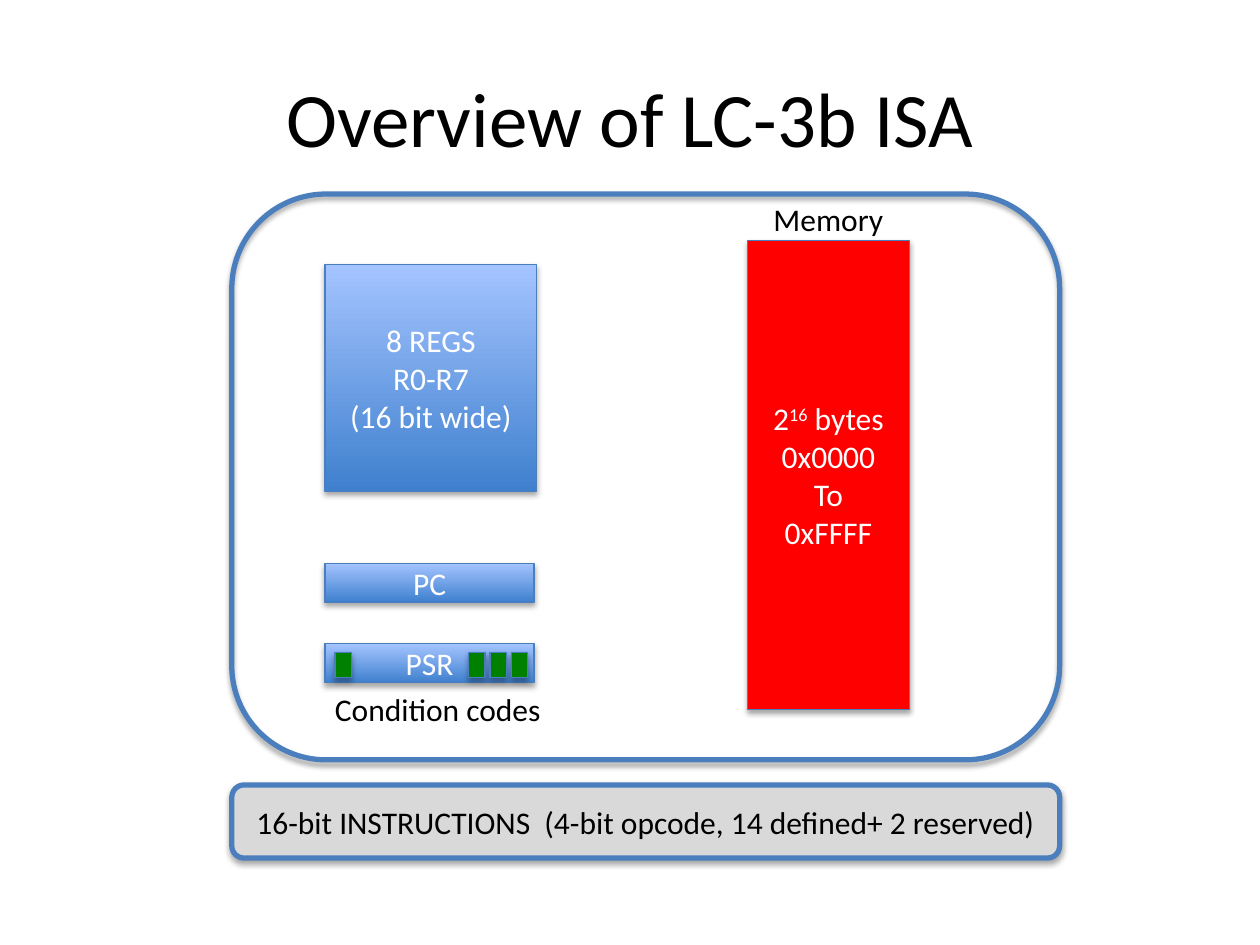
"""Build the LC-3b instruction set overview slide."""
import dataclasses
import typing

import lxml.etree
import pptx
import pptx.dml.color
import pptx.enum.shapes
import pptx.enum.text
import pptx.oxml.ns
import pptx.shapes.autoshape
import pptx.util

Inches = pptx.util.Inches
Shape = pptx.shapes.autoshape.Shape
Kind = pptx.enum.shapes.MSO_SHAPE
Align = pptx.enum.text.PP_ALIGN
Fit = pptx.enum.text.MSO_AUTO_SIZE

COLORS = {
    "deep": "3F80CE", "light": "A4C4FF", "edge": "4B7EBC", "red": "FF0000",
    "gray": "D9D9D9", "green": "008000", "white": "FFFFFF", "black": "000000",
}


@dataclasses.dataclass
class Box:
    left: float
    top: float
    width: float
    height: float
    fill: typing.Optional[str] = None
    text: str = ""
    ink: str = "white"
    kind: Kind = Kind.RECTANGLE
    weight: float = 0.75


@dataclasses.dataclass
class Label:
    left: float
    top: float
    width: float
    text: str


def color(name: str) -> pptx.dml.color.RGBColor:
    return pptx.dml.color.RGBColor.from_string(COLORS[name])


def write(frame, text: str, *, size: float = 18, ink: str = "black",
          align: Align = Align.CENTER, wrap: bool = True) -> None:
    """Write one paragraph per line, raising the parts between carets."""
    frame.word_wrap = wrap
    frame.vertical_anchor = pptx.enum.text.MSO_ANCHOR.MIDDLE
    for row, line in enumerate(text.split("\n")):
        para = frame.add_paragraph() if row else frame.paragraphs[0]
        para.alignment = align
        for part, words in enumerate(line.split("^")):
            run = para.add_run()
            run.text = words
            run.font.name = "Calibri"
            run.font.size = pptx.util.Pt(size)
            run.font.color.rgb = color(ink)
            if part % 2:
                run.font._element.set("baseline", "30000")


def shade(shape: Shape) -> None:
    """Give the shape a soft shadow below it."""
    shape.shadow.inherit = False
    tag = pptx.oxml.ns.qn
    effects = shape._element.spPr.find(tag("a:effectLst"))
    outer = lxml.etree.SubElement(
        effects, tag("a:outerShdw"), blurRad="40000", dist="23000",
        dir="5400000", rotWithShape="0")
    tint = lxml.etree.SubElement(outer, tag("a:srgbClr"), val=COLORS["black"])
    lxml.etree.SubElement(tint, tag("a:alpha"), val="35000")


def paint(shape: Shape, fill: typing.Optional[str]) -> None:
    """Fill with a plain color, the blue gradient, or nothing."""
    if fill is None:
        shape.fill.background()
    elif fill == "blend":
        shape.fill.gradient()
        shape.fill.gradient_angle = 90
        for stop, name in zip(shape.fill.gradient_stops, ("deep", "light")):
            stop.color.rgb = color(name)
    else:
        shape.fill.solid()
        shape.fill.fore_color.rgb = color(fill)


def draw(slide, box: Box) -> None:
    """Draw one box with its text."""
    shape = slide.shapes.add_shape(
        box.kind, Inches(box.left), Inches(box.top),
        Inches(box.width), Inches(box.height))
    paint(shape, box.fill)
    shape.line.color.rgb = color(box.edge if hasattr(box, "edge") else "edge")
    shape.line.width = pptx.util.Pt(box.weight)
    shade(shape)
    if box.text:
        write(shape.text_frame, box.text, ink=box.ink)


def tag_box(slide, label: Label) -> None:
    """Place one caption on a single line."""
    shape = slide.shapes.add_textbox(
        Inches(label.left), Inches(label.top), Inches(label.width), Inches(0.4))
    write(shape.text_frame, label.text, align=Align.LEFT, wrap=False)
    shape.text_frame.auto_size = Fit.SHAPE_TO_FIT_TEXT


def main() -> None:
    deck = pptx.Presentation()
    deck.slide_width, deck.slide_height = Inches(10), Inches(7.5)
    slide = deck.slides.add_slide(deck.slide_layouts[5])
    title = slide.shapes.title
    title.left, title.top = Inches(0.5), Inches(0.3)
    title.width, title.height = Inches(9), Inches(1.25)
    write(title.text_frame, "Overview of LC-3b ISA", size=44)

    frame = {"left": 1.84, "width": 6.57, "kind": Kind.ROUNDED_RECTANGLE,
             "weight": 3}
    boxes = [
        Box(2.58, 2.1, 1.68, 1.8, "blend", "8 REGS\nR0-R7\n(16 bit wide)"),
        Box(5.93, 1.91, 1.29, 3.72, "red",
            "2^16^ bytes\n0x0000\nTo\n0xFFFF"),
        Box(2.58, 4.47, 1.66, 0.31, "blend", "PC"),
        Box(2.58, 5.11, 1.66, 0.31, "blend", "PSR"),
        Box(top=1.54, height=4.49, **frame),
        Box(top=6.23, height=0.58, fill="gray", ink="black",
            text="16-bit INSTRUCTIONS  (4-bit opcode, 14 defined+ 2 reserved)",
            **frame),
    ]
    bits = [Box(left, 5.18, 0.13, 0.2, "green")
            for left in (2.66, 3.72, 3.89, 4.06)]
    for box in boxes + bits:
        draw(slide, box)
    for label in (Label(6.04, 1.54, 1.08, "Memory"),
                  Label(2.56, 5.43, 1.86, "Condition codes")):
        tag_box(slide, label)
    deck.save("out.pptx")


if __name__ == "__main__":
    main()
